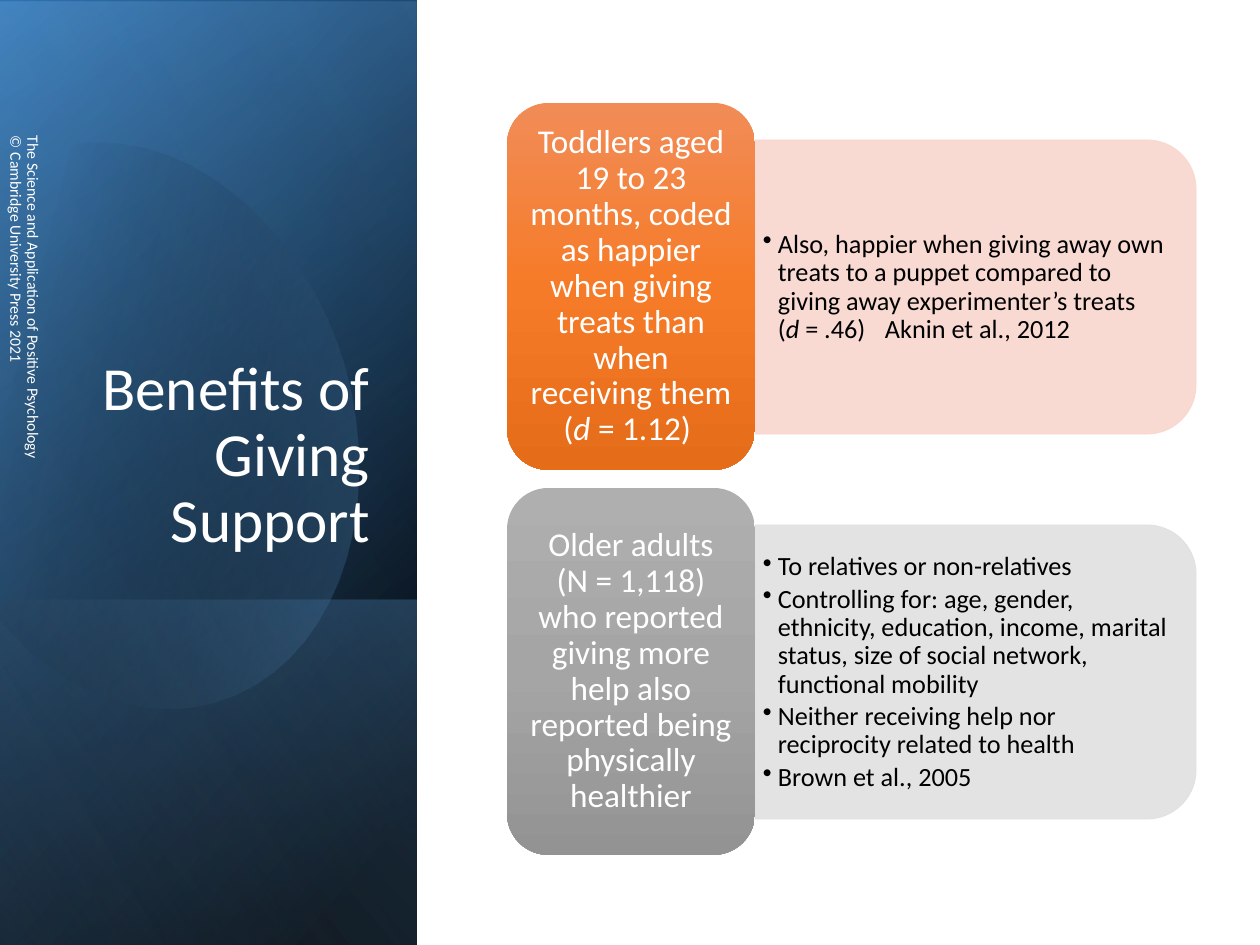
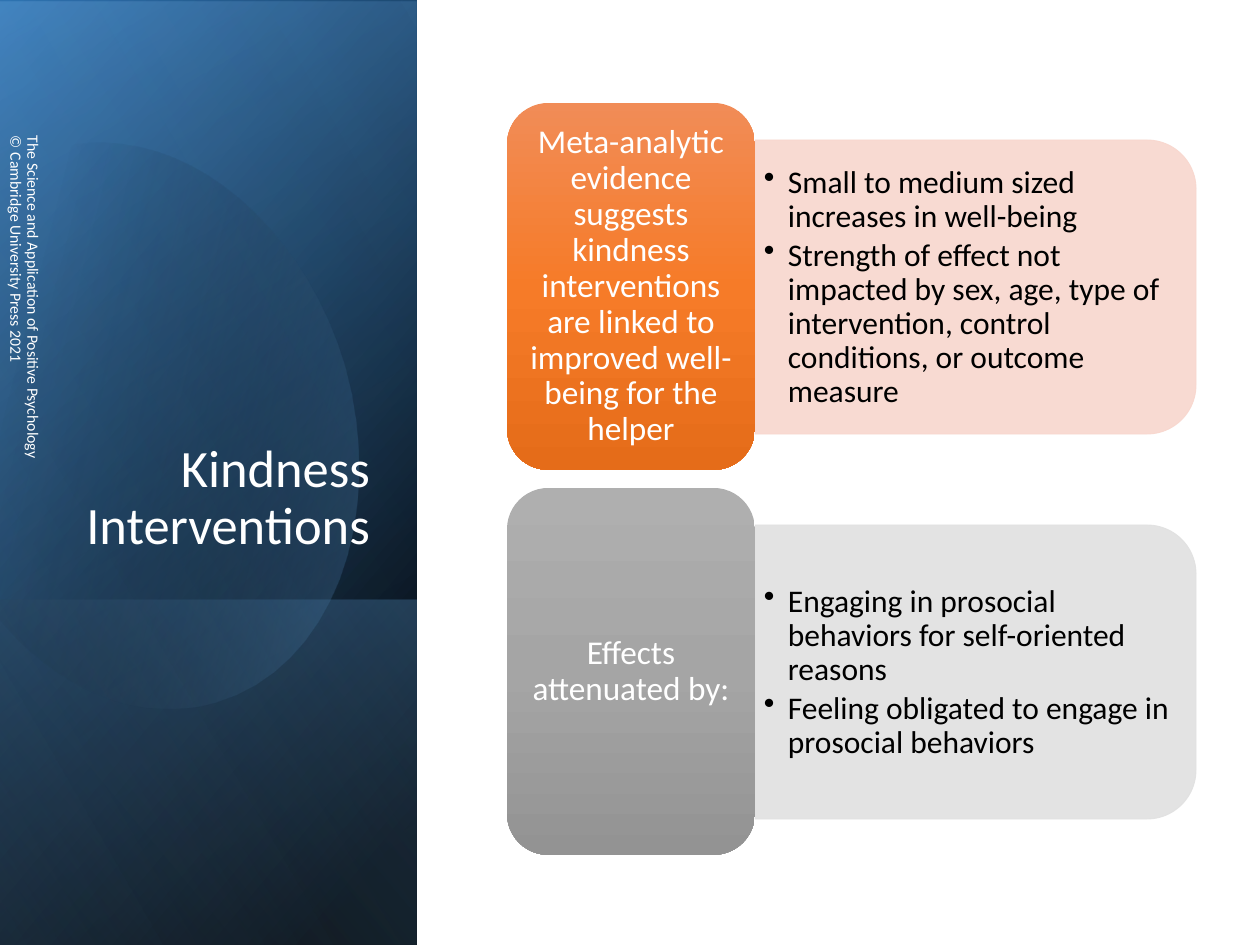
from math import cos, radians, sin

from lxml.etree import SubElement
from pptx import Presentation
from pptx.dml.color import RGBColor
from pptx.enum.shapes import MSO_SHAPE as SHAPE
from pptx.enum.text import MSO_ANCHOR as ANCHOR, PP_ALIGN as ALIGN
from pptx.oxml.ns import qn
from pptx.util import Emu, Pt

# Content: "|" switches italics on and off
SLIDES = [
    {
        "title": "Benefits of Giving Support", "title_size": 35,
        "bullet_size": 15, "bullet_indent": 15, "panel_insets": (8, 4),
        "rows": [
            ("Toddlers aged 19 to 23 months, coded as happier when giving "
             "treats than when receiving them (|d| = 1.12) ",
             ["Also, happier when giving away own treats to a puppet compared "
              "to giving away experimenter’s treats\n(|d| = .46)\tAknin et al., 2012"]),
            ("Older adults (N = 1,118) who reported giving more help also "
             "reported being physically healthier",
             ["To relatives or non-relatives",
              "Controlling for: age, gender, ethnicity, education, income, "
              "marital status, size of social network, functional mobility",
              "Neither receiving help nor reciprocity related to health",
              "Brown et al., 2005"]),
        ],
    },
    {
        "title": "Kindness Interventions", "title_size": 30,
        "bullet_size": 18, "bullet_indent": 24, "panel_insets": (9, 5),
        "rows": [
            ("Meta-analytic evidence suggests kindness interventions are "
             "linked to improved well-being for the helper",
             ["Small to medium sized increases in well-being",
              "Strength of effect not impacted by sex, age, type of "
              "intervention, control conditions, or outcome measure"]),
            ("Effects attenuated by:",
             ["Engaging in prosocial behaviors for self-oriented reasons",
              "Feeling obligated to engage in prosocial behaviors"]),
        ],
    },
]
FOOTER = ("The Science and Application of Positive Psychology\n"
          "© Cambridge University Press 2021")

# Shared look
FONT = "Calibri"
BLACK = RGBColor(0x00, 0x00, 0x00)
WHITE = RGBColor(0xFF, 0xFF, 0xFF)
DEEP_BLUE = RGBColor(0x2E, 0x75, 0xB6)
BLUE = RGBColor(0x5B, 0x9B, 0xD5)
PALE_BLUE = RGBColor(0x9D, 0xC3, 0xE6)
PEACH = RGBColor(0xF8, 0xD7, 0xCE)
SILVER = RGBColor(0xE1, 0xE1, 0xE1)
ORANGES = (RGBColor(0xF1, 0x8C, 0x57), RGBColor(0xF6, 0x7B, 0x28), RGBColor(0xE5, 0x6C, 0x19))
GREYS = (RGBColor(0xAF, 0xAF, 0xAF), RGBColor(0xA5, 0xA5, 0xA5), RGBColor(0x93, 0x93, 0x93))
ROW_COLOURS = [(ORANGES, PEACH), (GREYS, SILVER)]

# Geometry in px, boxes as they are seen: left, top, width, height
SLIDE_W, SLIDE_H = 1260, 945
BAND = (0, 0, 417, 945)
BAND_SHIFTED = (0, 2, 417, 945)
BAND_FOOT = (0, 600, 417, 345)
TITLE_BOX = (60, 232, 323, 330)
FOOTER_BOX = (-1, 86, 50, 426)
LABEL = (507, 103, 248, 367)
PANEL = (755, 140, 441, 294)
PANEL_TEXT = (755, 155, 427, 265)
ROW_PITCH = 385
CITATION_TAB = 122

# Band layers: box, gradient angle, stops of (position, colour, opacity)
BASE_LAYERS = [
    (BAND, 50, [(8, BLACK, 100), (100, DEEP_BLUE, 100)]),
    (BAND_SHIFTED, 30, [(0, BLACK, 0), (99, BLUE, 46)]),
    (BAND_FOOT, 130, [(2, BLUE, 29), (100, BLACK, 30)]),
]
TOP_LAYER = (BAND, 120, [(0, BLACK, 0), (99, PALE_BLUE, 11)])

# Oval: points of each segment, two for a line and four for a curve
OVAL_STOPS = [(29, BLACK, 0), (100, BLUE, 43)]
OVAL_CENTRE, OVAL_TURN = (150, 421), 343.9
OVAL_SEGMENTS = [
    [(121, 144), (215, 154), (307, 242), (344, 365)],
    [(344, 365), (387, 519), (330, 669), (215, 702)],
    [(215, 702), (144, 723), (67, 693), (9, 630)],
    [(9, 630), (-4, 615)],
    [(-4, 615), (-31, 209)],
    [(-31, 209), (-19, 194)],
    [(-19, 194), (3, 173), (28, 158), (57, 149)],
    [(57, 149), (78, 142), (100, 141), (121, 144)],
]


def px(length):
    return Emu(round(length * 914400 / 126))


def place(box, turned=False):
    """EMU box; a turned one is laid flat so that 90 degrees brings it back."""
    x, y, w, h = box
    if turned:
        x, y, w, h = x + (w - h) / 2, y + (h - w) / 2, h, w
    return [px(v) for v in (x, y, w, h)]


def set_alpha(colour_element, opacity):
    if opacity < 100:
        SubElement(colour_element, qn("a:alpha"), val=str(opacity * 1000))


def fill_gradient(shape, angle, stops):
    properties = shape.element.spPr
    gradient = SubElement(properties, qn("a:gradFill"), rotWithShape="1")
    properties.insert(2, gradient)
    stop_list = SubElement(gradient, qn("a:gsLst"))
    for position, colour, opacity in stops:
        stop = SubElement(stop_list, qn("a:gs"), pos=str(position * 1000))
        set_alpha(SubElement(stop, qn("a:srgbClr"), val=str(colour)), opacity)
    SubElement(gradient, qn("a:lin"), ang=str(angle * 60000), scaled="0")
    shape.line.fill.background()
    shape.shadow.inherit = False


def add_text(frame, paragraphs, size, colour, anchor, insets=(13, 6, 13, 6),
             align=ALIGN.LEFT, after=0, indent=0):
    frame.word_wrap = True
    frame.vertical_anchor = anchor
    (frame.margin_left, frame.margin_top,
     frame.margin_right, frame.margin_bottom) = [px(v) for v in insets]
    for number, text in enumerate(paragraphs):
        paragraph = frame.add_paragraph() if number else frame.paragraphs[0]
        paragraph.alignment = align
        paragraph.line_spacing = 0.9
        paragraph.space_after = Pt(after)
        if indent:
            add_bullet(paragraph, indent, "\t" in text)
        paragraph.font.size = Pt(size)
        for part, phrase in enumerate(text.split("|")):
            for line, words in enumerate(phrase.split("\n")):
                if line:
                    paragraph.add_line_break()
                run = paragraph.add_run()
                run.text = words
                run.font.name, run.font.size = FONT, Pt(size)
                run.font.color.rgb = colour
                run.font.italic = part % 2 == 1


def add_bullet(paragraph, indent, tabbed):
    properties = paragraph._p.get_or_add_pPr()
    properties.set("marL", str(px(indent)))
    properties.set("indent", str(-px(indent)))
    SubElement(properties, qn("a:buChar"), char="•")
    if tabbed:
        tabs = SubElement(properties, qn("a:tabLst"))
        SubElement(tabs, qn("a:tab"), pos=str(px(CITATION_TAB)), algn="l")


def add_layer(shapes, box, angle, stops):
    layer = shapes.add_shape(SHAPE.RECTANGLE, *place(box, turned=True))
    layer.rotation = 90
    layer.element.spPr.xfrm.set("flipH", "1")
    fill_gradient(layer, angle, stops)


def segment_points(points, steps=16):
    if len(points) == 2:
        return points[1:]
    weights = [((1 - t) ** 3, 3 * t * (1 - t) ** 2, 3 * t * t * (1 - t), t ** 3)
               for t in (step / steps for step in range(1, steps + 1))]
    return [tuple(sum(w * p[axis] for w, p in zip(weight, points)) for axis in (0, 1))
            for weight in weights]


def add_oval(shapes):
    turn = radians(-OVAL_TURN)
    cx, cy = OVAL_CENTRE
    outline = OVAL_SEGMENTS[0][:1]
    for segment in OVAL_SEGMENTS:
        outline = outline + segment_points(segment)
    upright = [(px(cx + (x - cx) * cos(turn) - (y - cy) * sin(turn)),
                px(cy + (x - cx) * sin(turn) + (y - cy) * cos(turn)))
               for x, y in outline]
    builder = shapes.build_freeform(*upright[0])
    builder.add_line_segments(upright[1:], close=True)
    oval = builder.convert_to_shape()
    oval.rotation = OVAL_TURN
    fill_gradient(oval, 30, OVAL_STOPS)


def add_side_band(shapes, title, title_size):
    for layer in BASE_LAYERS:
        add_layer(shapes, *layer)
    add_oval(shapes)
    add_layer(shapes, *TOP_LAYER)
    heading = shapes.add_textbox(*place(TITLE_BOX))
    add_text(heading.text_frame, [title], title_size, WHITE, ANCHOR.BOTTOM, align=ALIGN.RIGHT)
    footer = shapes.add_textbox(*place(FOOTER_BOX, turned=True))
    footer.rotation = 90
    add_text(footer.text_frame, [FOOTER], 9, WHITE, ANCHOR.MIDDLE, (50, 6, 13, 6), after=6)


def add_row(shapes, number, label_text, bullets, content):
    label_colours, panel_colour = ROW_COLOURS[number]

    def row_box(box):
        x, y, w, h = box
        return x, y + number * ROW_PITCH, w, h

    # Panel rounded on its right side
    panel = shapes.add_shape(SHAPE.ROUND_2_SAME_RECTANGLE, *place(row_box(PANEL), turned=True))
    panel.rotation = 90
    panel.shadow.inherit = False
    panel.line.width = Pt(0.5)
    for fill in (panel.fill, panel.line.fill):
        fill.solid()
        fill.fore_color.rgb = panel_colour
    for colour_element in panel.element.spPr.iter(qn("a:srgbClr")):
        set_alpha(colour_element, 90)

    # Bullets over the panel
    size = content["bullet_size"]
    details = shapes.add_textbox(*place(row_box(PANEL_TEXT)))
    add_text(details.text_frame, bullets, size, BLACK, ANCHOR.MIDDLE,
             content["panel_insets"] * 2, after=round(size * 0.15, 1),
             indent=content["bullet_indent"])

    # Label
    label = shapes.add_shape(SHAPE.ROUNDED_RECTANGLE, *place(row_box(LABEL)))
    fill_gradient(label, 90, [(position, colour, 100)
                              for position, colour in zip((0, 50, 100), label_colours)])
    add_text(label.text_frame, [label_text], 19, WHITE, ANCHOR.MIDDLE,
             (10, 5, 10, 5), ALIGN.CENTER)


def main():
    deck = Presentation()
    deck.slide_width, deck.slide_height = px(SLIDE_W), px(SLIDE_H)
    for content in SLIDES:
        shapes = deck.slides.add_slide(deck.slide_layouts[6]).shapes
        add_side_band(shapes, content["title"], content["title_size"])
        for number, (label_text, bullets) in enumerate(content["rows"]):
            add_row(shapes, number, label_text, bullets, content)
    deck.save("out.pptx")


if __name__ == "__main__":
    main()
